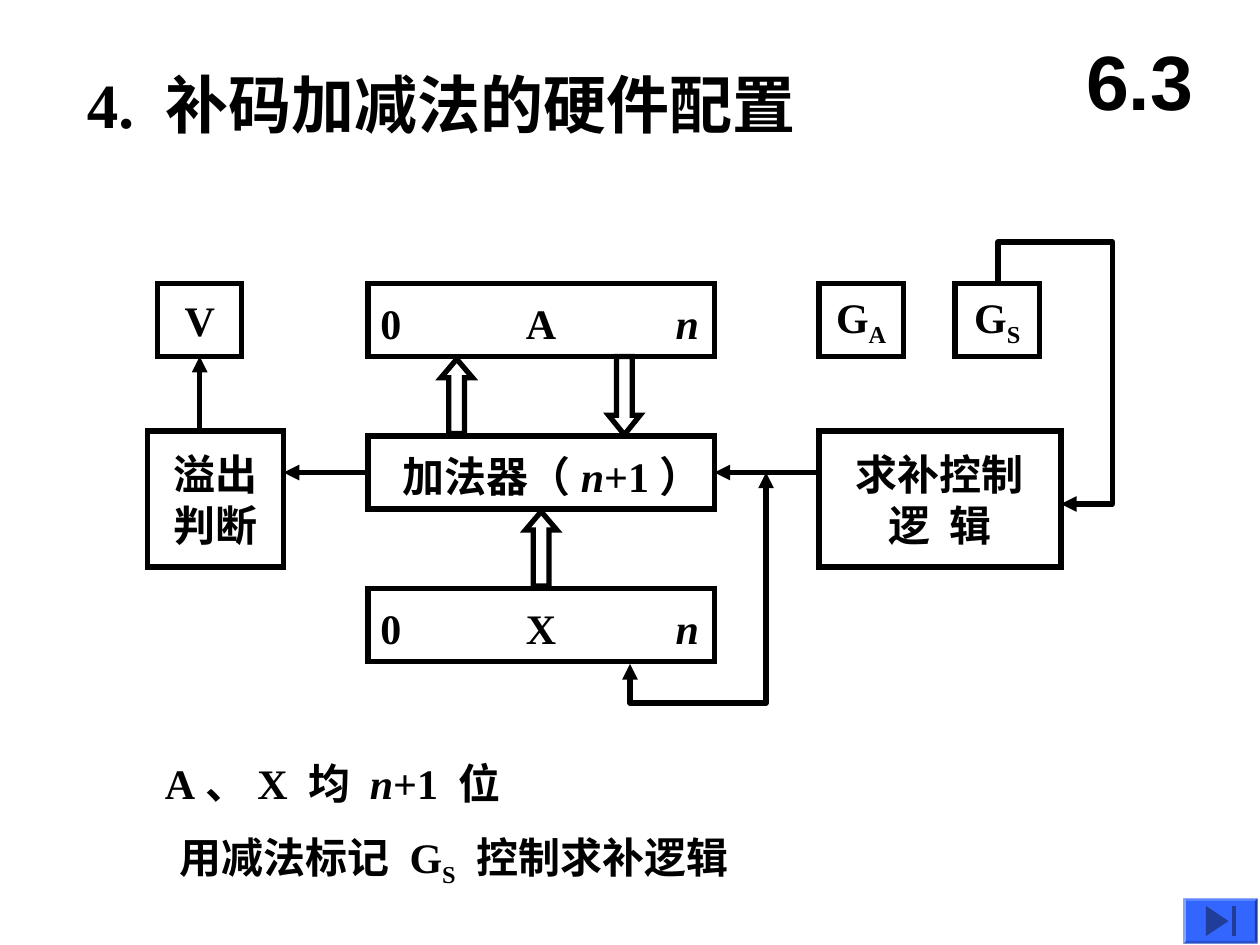
from pptx import Presentation
from pptx.dml.color import RGBColor
from pptx.enum.shapes import MSO_CONNECTOR as Conn, MSO_SHAPE as Shape
from pptx.enum.text import (MSO_ANCHOR as Anchor, MSO_AUTO_SIZE as Fit,
                            PP_ALIGN as Align)
from pptx.oxml.ns import qn
from pptx.util import Inches, Pt
from lxml.etree import SubElement

BLACK, BLUE, NAVY = "000000", "3366FF", "1F3D99"
SERIF, SANS = "Times New Roman", "Arial"


def color(text):
    return RGBColor.from_string(text)


def place(box):
    return [Inches(v) for v in box]


def write(frame, lines, size=24, font=SERIF, align=Align.LEFT,
          anchor=Anchor.TOP, wrap=False, tabs=()):
    """Each line is a list of (text, style); style is "", "i" or "sub"."""
    frame.word_wrap = wrap
    frame.vertical_anchor = anchor
    frame.margin_left = frame.margin_right = Inches(0.1)
    frame.margin_top = frame.margin_bottom = Inches(0.05)
    for i, line in enumerate(lines):
        para = frame.add_paragraph() if i else frame.paragraphs[0]
        para.alignment = align
        if tabs:
            stops = SubElement(para._p.get_or_add_pPr(), qn("a:tabLst"))
            for pos, kind in tabs:
                SubElement(stops, qn("a:tab"), pos=str(Inches(pos)), algn=kind)
        for text, style in line:
            run = para.add_run()
            run.text = text
            run.font.name, run.font.size = font, Pt(size)
            run.font.bold, run.font.italic = True, style == "i"
            run.font.color.rgb = color(BLACK)
            if style == "sub":
                run._r.get_or_add_rPr().set("baseline", "-25000")


def stroke(line, tips=()):
    line.color.rgb = color(BLACK)
    line.width = Pt(3)
    for tip in tips:
        SubElement(line._get_or_add_ln(), qn("a:" + tip), type="triangle")


def outline(slide, kind, box):
    shape = slide.shapes.add_shape(kind, *place(box))
    shape.shadow.inherit = False
    shape.fill.background()
    stroke(shape.line)
    SubElement(shape.line._get_or_add_ln(), qn("a:miter"), lim="800000")
    return shape


def block(slide, box, lines):
    shape = outline(slide, Shape.RECTANGLE, box)
    write(shape.text_frame, lines, align=Align.CENTER, anchor=Anchor.MIDDLE)
    return shape


def register(slide, box, name):
    """A register with its first bit, name and last bit across the width."""
    shape = outline(slide, Shape.RECTANGLE, box)
    width = box[2] - 0.2
    write(shape.text_frame, [[(f"0\t{name}\t", ""), ("n", "i")]],
          anchor=Anchor.MIDDLE, wrap=True,
          tabs=[(width / 2, "ctr"), (width - 0.02, "r")])
    shape.text_frame.margin_top = Inches(0.09)


def bus(slide, box, head, turn=0):
    shape = outline(slide, Shape.UP_ARROW, box)
    shape.adjustments[1] = head
    shape.rotation = turn


def arrow(slide, start, end, source=None, target=None):
    """source and target are (shape, side) pairs."""
    link = slide.shapes.add_connector(Conn.STRAIGHT, *place(start + end))
    if source:
        link.begin_connect(*source)
    if target:
        link.end_connect(*target)
    stroke(link.line, ["tailEnd"])
    SubElement(link._element.spPr, qn("a:effectLst"))


def trace(slide, points, close=False):
    pts = [place(p) for p in points]
    pen = slide.shapes.build_freeform(*pts[0])
    pen.add_line_segments(pts[1:], close=close)
    shape = pen.convert_to_shape()
    shape.shadow.inherit = False
    return shape


def route(slide, points, tips):
    shape = trace(slide, points)
    shape.fill.background()
    stroke(shape.line, tips)


def paint(shape, fill):
    shape.fill.solid()
    shape.fill.fore_color.rgb = color(fill)
    shape.line.fill.background()


def label(slide, box, lines, **style):
    frame = slide.shapes.add_textbox(*place(box)).text_frame
    write(frame, lines, **style)
    return frame


def header(slide, box):
    title = slide.shapes.title
    title.left, title.top, title.width, title.height = place(box)
    write(title.text_frame, [[("4. 补码加减法的硬件配置", "")]], size=36)
    label(slide, (8.42, 0.17, 1.25, 0.92), [[("6.3", "")]], size=44, font=SANS,
          align=Align.CENTER, anchor=Anchor.MIDDLE, wrap=True)


def diagram(slide, x, y):
    """Hardware blocks; x and y are the left and top of the whole diagram."""
    low = y + 1.5
    mid = low + 0.33
    core, right = x + 1.75, x + 5.33
    wide, small, tall = 2.75, 0.67, 0.58

    # Flag, registers and sign marks
    flag = block(slide, (x + 0.08, y + 0.33, small, tall), [[("V", "")]])
    register(slide, (core, y + 0.33, wide, tall), "A")
    for left, mark in ((right, "A"), (right + 1.08, "S")):
        block(slide, (left, y + 0.33, small, tall),
              [[("G", ""), (mark, "sub")]])

    # Adder, overflow test and complement control
    adder = block(slide, (core, mid - tall / 2, wide, tall),
                  [[("加法器（", ""), ("n", "i"), ("+1）", "")]])
    adder.text_frame.margin_left = Inches(0.27)
    adder.text_frame.margin_top = Inches(0.1)
    block(slide, (x, low, 1.08, 1.08), [[("溢出", "")], [("判断", "")]])
    block(slide, (right, low, 1.92, 1.08),
          [[("求补控制", "")], [("逻  辑", "")]])
    register(slide, (core, y + 2.75, wide, tall), "X")

    # Wide data arrows
    bus(slide, (core + 0.58, y + 0.93, 0.25, 0.59), 0.59)
    bus(slide, (core + 1.91, y + 0.91, 0.25, 0.62), 0.62, turn=180)
    bus(slide, (core + 1.25, y + 2.14, 0.25, 0.59), 0.59)

    # Control lines
    stem = x + 0.08 + small / 2
    arrow(slide, (stem, low), (stem, y + 0.91), target=(flag, 2))
    arrow(slide, (right, mid), (core + wide, mid), target=(adder, 3))
    arrow(slide, (core, mid), (x + 1.08, mid), source=(adder, 1))
    fork, foot, tap = x + 4.91, y + 3.66, core + 2.08
    route(slide, [(fork, mid), (fork, foot), (tap, foot), (tap, y + 3.35)],
          ["headEnd", "tailEnd"])
    mark, edge = x + 6.75, x + 7.66
    route(slide, [(mark, y + 0.33), (mark, y), (edge, y),
                  (edge, y + 2.08), (right + 1.92, y + 2.08)], ["tailEnd"])


def notes(slide, x, y):
    first = label(slide, (x, y, 3.2, 0.5),
                  [[("A、X 均 ", ""), ("n", "i"), ("+1 位", "")]])
    second = label(slide, (x + 0.12, y + 0.59, 4.8, 0.56),
                   [[("用减法标记 G", ""), ("S", "sub"),
                     (" 控制求补逻辑", "")]])
    for frame in (first, second):
        frame.word_wrap = True
        frame.auto_size = Fit.SHAPE_TO_FIT_TEXT


def button(slide, box):
    """Bevelled button with a skip-to-end sign."""
    x, y = box[:2]
    base = slide.shapes.add_shape(Shape.BEVEL, *place(box))
    base.shadow.inherit = False
    base.adjustments[0] = 0.06
    paint(base, BLUE)
    top, foot = y + 0.06, y + 0.3
    wedge = [(x + 0.18, top), (x + 0.36, y + 0.18), (x + 0.18, foot)]
    bar = [(x + 0.39, top), (x + 0.42, top), (x + 0.42, foot), (x + 0.39, foot)]
    for points in (wedge, bar):
        paint(trace(slide, points, close=True), NAVY)


def main():
    deck = Presentation()
    deck.slide_width, deck.slide_height = Inches(10), Inches(7.5)
    slide = deck.slides.add_slide(deck.slide_layouts[5])
    header(slide, (0.59, 0.47, 5.82, 0.7))
    diagram(slide, 1.17, 1.92)
    notes(slide, 1.21, 5.96)
    button(slide, (9.39, 7.13, 0.59, 0.36))
    deck.save("out.pptx")


if __name__ == "__main__":
    main()
